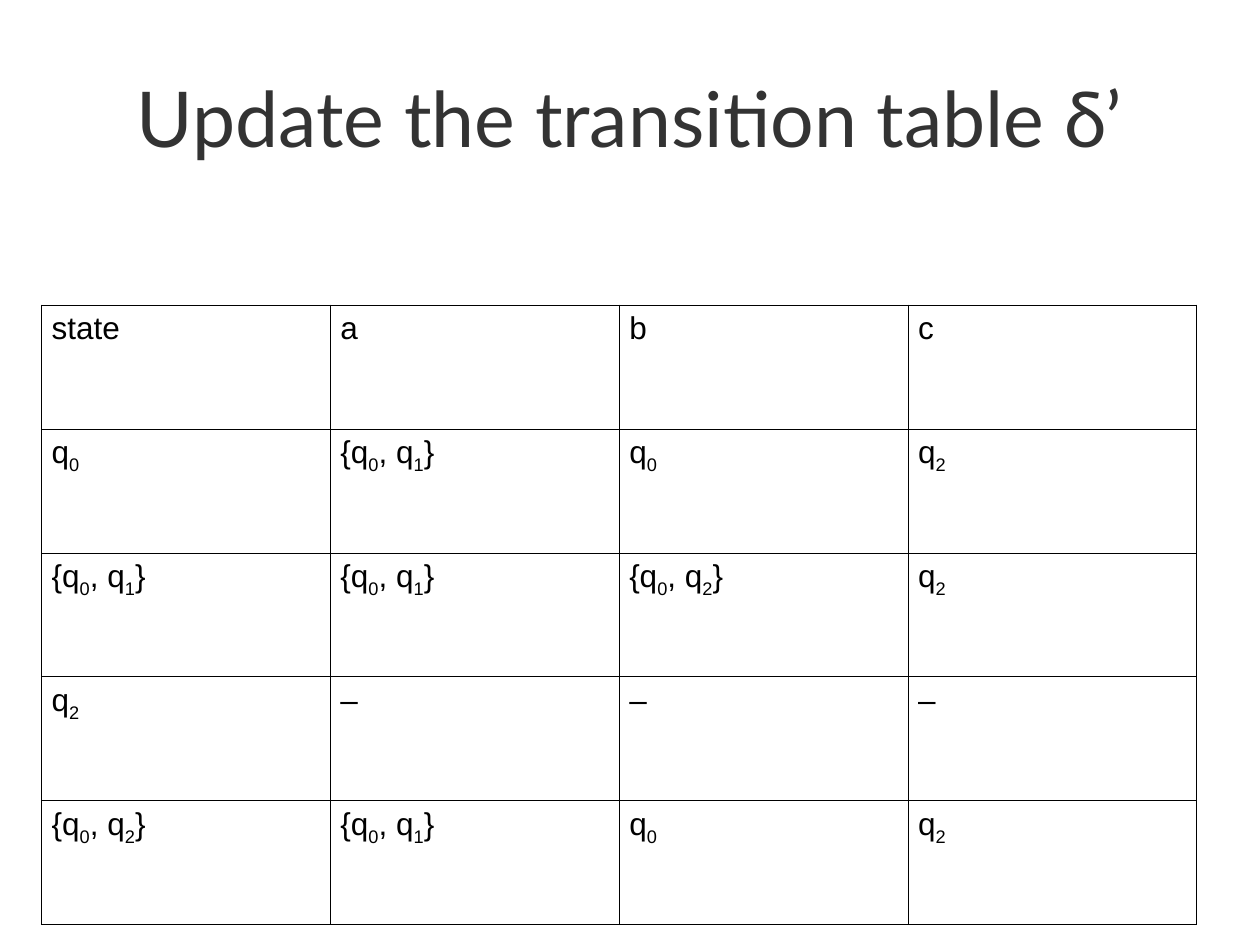
from lxml import etree
from pptx import Presentation
from pptx.dml.color import RGBColor
from pptx.enum import text
from pptx.oxml.ns import qn
from pptx.util import Inches, Pt

TITLE_GRAY = RGBColor(0x33, 0x33, 0x33)
BLACK = RGBColor(0, 0, 0)
WHITE = RGBColor(0xFF, 0xFF, 0xFF)

# An underscore marks the next character as a subscript
TRANSITIONS = [
    ["state", "a", "b", "c"],
    ["q_0", "{q_0, q_1}", "q_0", "q_2"],
    ["{q_0, q_1}", "{q_0, q_1}", "{q_0, q_2}", "q_2"],
    ["q_2", "–", "–", "–"],
    ["{q_0, q_2}", "{q_0, q_1}", "q_0", "q_2"],
]


def add_state_text(paragraph, label):
    first, *rest = label.split("_")
    paragraph.add_run().text = first
    for part in rest:
        subscript = paragraph.add_run()
        subscript.text = part[0]
        subscript.font._element.set("baseline", "-25000")
        if part[1:]:
            paragraph.add_run().text = part[1:]


def add_borders(cell, color, width):
    properties = cell._tc.get_or_add_tcPr()
    for side in ("lnL", "lnR", "lnT", "lnB"):
        line = etree.SubElement(properties, qn(f"a:{side}"), w=str(width))
        fill = etree.SubElement(line, qn("a:solidFill"))
        etree.SubElement(fill, qn("a:srgbClr"), val=str(color))


presentation = Presentation()
presentation.slide_width = Inches(10)
presentation.slide_height = Inches(7.5)
slide = presentation.slides.add_slide(presentation.slide_layouts[5])

# Title
title = slide.shapes.title
title.left, title.top = Inches(0.5), Inches(0.3)
title.width, title.height = Inches(9), Inches(1.25)
title.text_frame.vertical_anchor = text.MSO_ANCHOR.MIDDLE
paragraph = title.text_frame.paragraphs[0]
paragraph.text = "Update the transition table δ’"
paragraph.alignment = text.PP_ALIGN.CENTER
paragraph.font.name = "Lato"
paragraph.font.size = Pt(44)
paragraph.font.color.rgb = TITLE_GRAY

# Transition table
table = slide.shapes.add_table(
    len(TRANSITIONS), len(TRANSITIONS[0]),
    Inches(0.33), Inches(2.42), Inches(9.17), Inches(4.92),
).table
table.first_row = False
table.horz_banding = False

for row, labels in enumerate(TRANSITIONS):
    for column, label in enumerate(labels):
        cell = table.cell(row, column)
        cell.margin_left = cell.margin_right = Inches(0.08)
        cell.margin_top = cell.margin_bottom = Inches(0.05)
        add_borders(cell, BLACK, Pt(0.45))
        cell.fill.solid()
        cell.fill.fore_color.rgb = WHITE
        paragraph = cell.text_frame.paragraphs[0]
        add_state_text(paragraph, label)
        paragraph.font.name = "Arial"
        paragraph.font.size = Pt(18)
        paragraph.font.color.rgb = BLACK

presentation.save("out.pptx")
